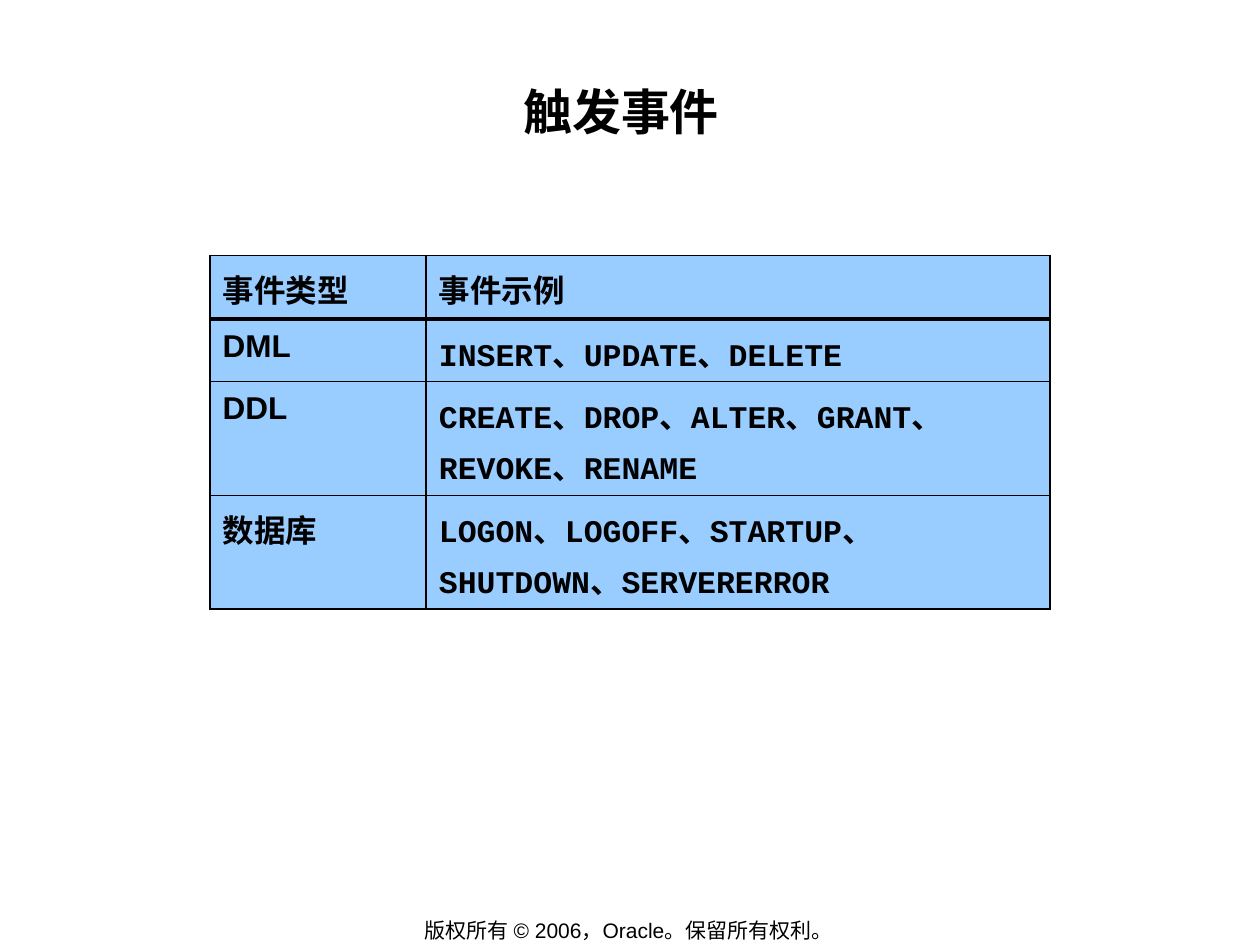
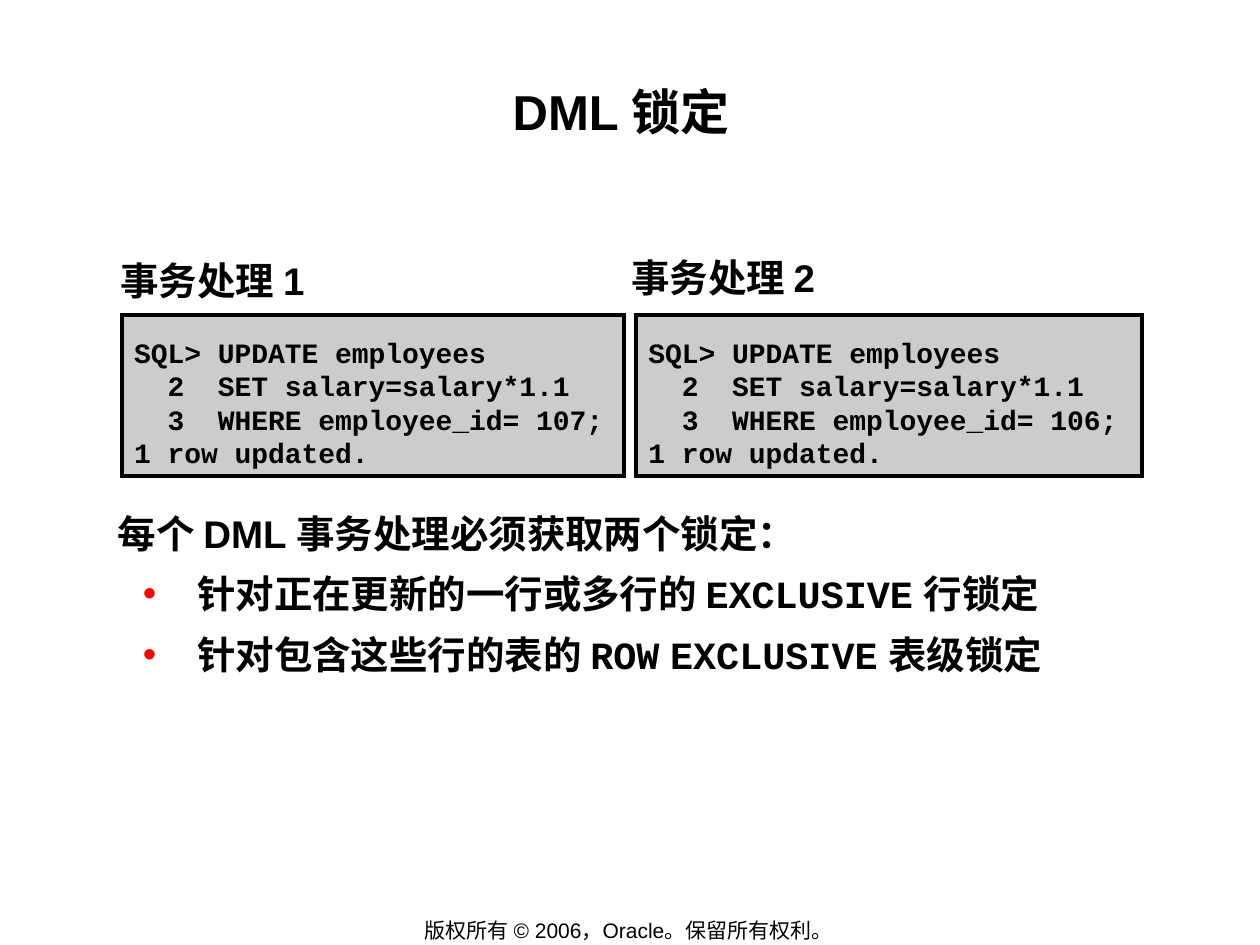
from lxml import etree
from pptx import Presentation
from pptx.dml.color import RGBColor
from pptx.enum.shapes import MSO_SHAPE
from pptx.enum.text import MSO_ANCHOR, PP_ALIGN
from pptx.oxml.ns import qn
from pptx.util import Pt

RECTANGLE = MSO_SHAPE.RECTANGLE
TOP, MIDDLE = MSO_ANCHOR.TOP, MSO_ANCHOR.MIDDLE
LEFT, CENTER = PP_ALIGN.LEFT, PP_ALIGN.CENTER

# Shared style
BLACK, RED, TABLE_BLUE, CODE_GREY = "000000", "FF0000", "99CCFF", "CCCCCC"
SANS, MONO = "Arial", "Courier New"
LOOSE = 1.1

# Content
FOOTER = "版权所有 © 2006，Oracle。保留所有权利。"
EVENTS_TITLE = "触发事件"
EVENTS = [
    ("事件类型", "事件示例"),
    ("DML", "INSERT、UPDATE、DELETE"),
    ("DDL", "CREATE、DROP、ALTER、GRANT、REVOKE、RENAME"),
    ("数据库", "LOGON、LOGOFF、STARTUP、SHUTDOWN、SERVERERROR"),
]
COLUMN_WIDTHS = (123.6, 356.4)
ROW_HEIGHTS = (36.2, 35.8, 65.2, 64.8)

LOCKS_TITLE = "DML 锁定"
# heading, heading left / top / line spacing, employee id, code left / width
TRANSACTIONS = [
    ("事务处理 1", 68.2, 143.3, LOOSE, 107, 69.6, 287),
    ("事务处理 2", 360, 144.4, 1.0, 106, 363.4, 289),
]
CODE = [
    "SQL> UPDATE employees",
    "  2  SET salary=salary*1.1",
    "  3  WHERE employee_id= {};",
    "1 row updated.",
]
LOCKS_INTRO = "每个 DML 事务处理必须获取两个锁定："
# Sans and monospaced parts alternate
LOCKS = [
    ("针对正在更新的一行或多行的 ", "EXCLUSIVE", " 行锁定"),
    ("针对包含这些行的表的 ", "ROW", " ", "EXCLUSIVE", " 表级锁定"),
]


def rgb(color):
    return RGBColor.from_string(color)


def style(span, size, font=SANS, bold=True):
    span.font.size = Pt(size)
    span.font.name = font
    span.font.bold = bold
    span.font.color.rgb = rgb(BLACK)


def set_frame(frame, inset_x, inset_y, anchor=TOP, wrap=True):
    frame.margin_left = frame.margin_right = Pt(inset_x)
    frame.margin_top = frame.margin_bottom = Pt(inset_y)
    frame.vertical_anchor = anchor
    frame.word_wrap = wrap


def add_text(slide, text, left, top, width, height, size, align=LEFT, spacing=LOOSE):
    box = slide.shapes.add_textbox(Pt(left), Pt(top), Pt(width), Pt(height))
    set_frame(box.text_frame, 0.7, 0.7)
    para = box.text_frame.paragraphs[0]
    para.text = text
    para.alignment = align
    para.line_spacing = spacing
    style(para.runs[0], size)
    return box


def add_page(deck, title):
    page = deck.slides.add_slide(deck.slide_layouts[6])
    page.background.fill.solid()
    page.background.fill.fore_color.rgb = rgb("FFFFFF")
    footer = add_text(page, FOOTER, 197.6, 524, 323.3, 15, 12, CENTER, 1.0)
    set_frame(footer.text_frame, 7.2, 3.6, MIDDLE, wrap=False)
    style(footer.text_frame.paragraphs[0].runs[0], 12, bold=False)
    add_text(page, title, 66.9, 42.3, 576, 69, 28, CENTER)
    return page


def add_border(cell, side, width):
    line = etree.SubElement(cell._tc.get_or_add_tcPr(), qn(f"a:ln{side}"), w=str(Pt(width)))
    fill = etree.SubElement(line, qn("a:solidFill"))
    etree.SubElement(fill, qn("a:srgbClr"), val=BLACK)


def add_event_table(page):
    table = page.shapes.add_table(
        len(EVENTS), len(COLUMN_WIDTHS), Pt(120), Pt(146),
        Pt(sum(COLUMN_WIDTHS)), Pt(sum(ROW_HEIGHTS))).table
    table.first_row = table.horz_banding = False
    for column, width in zip(table.columns, COLUMN_WIDTHS):
        column.width = Pt(width)
    for row_index, (row, height) in enumerate(zip(table.rows, ROW_HEIGHTS)):
        row.height = Pt(height)
        for column_index, cell in enumerate(row.cells):
            # The rule under the header is heavier
            heavy_side = {0: "B", 1: "T"}.get(row_index)
            for side in "LRTB":
                add_border(cell, side, 2.2 if side == heavy_side else 1.08)
            cell.fill.solid()
            cell.fill.fore_color.rgb = rgb(TABLE_BLUE)
            para = cell.text_frame.paragraphs[0]
            para.text = EVENTS[row_index][column_index]
            para.line_spacing = LOOSE
            is_code = row_index > 0 and column_index == 1
            style(para.runs[0], 18, MONO if is_code else SANS)


def add_code(page, employee_id, left, width):
    box = page.shapes.add_shape(RECTANGLE, Pt(left), Pt(180), Pt(width), Pt(92.2))
    box.shadow.inherit = False
    box.fill.solid()
    box.fill.fore_color.rgb = rgb(CODE_GREY)
    box.line.color.rgb = rgb(BLACK)
    box.line.width = Pt(2.25)
    # Square corners
    etree.SubElement(box.line._get_or_add_ln(), qn("a:miter"), lim="800000")
    frame = box.text_frame
    set_frame(frame, 7.2, 3.6)
    frame.text = "\n".join(CODE).format(employee_id)
    for index, para in enumerate(frame.paragraphs):
        para.alignment = LEFT
        para.line_spacing = Pt(19.2 if index else 27.1)
        style(para.runs[0], 16, MONO)


def add_bullet(frame, parts):
    para = frame.add_paragraph()
    properties = para._p.get_or_add_pPr()
    properties.set("marL", str(Pt(45.4)))
    properties.set("indent", str(Pt(-31)))
    color = etree.SubElement(properties, qn("a:buClr"))
    etree.SubElement(color, qn("a:srgbClr"), val=RED)
    etree.SubElement(properties, qn("a:buFont"), typeface=SANS)
    etree.SubElement(properties, qn("a:buChar"), char="•")
    para.line_spacing = LOOSE
    para.space_before = Pt(5.5)
    for index, text in enumerate(parts):
        span = para.add_run()
        span.text = text
        style(span, 22, MONO if index % 2 else SANS)


def main():
    deck = Presentation()
    deck.slide_width, deck.slide_height = Pt(720), Pt(540)

    # Trigger events
    add_event_table(add_page(deck, EVENTS_TITLE))

    # DML locks
    page = add_page(deck, LOCKS_TITLE)
    for heading, left, top, spacing, employee_id, code_left, code_width in TRANSACTIONS:
        add_text(page, heading, left, top, 196, 28, 22, spacing=spacing)
        add_code(page, employee_id, code_left, code_width)
    intro = add_text(page, LOCKS_INTRO, 66.6, 288, 580, 100, 22)
    for parts in LOCKS:
        add_bullet(intro.text_frame, parts)

    deck.save("out.pptx")


if __name__ == "__main__":
    main()
